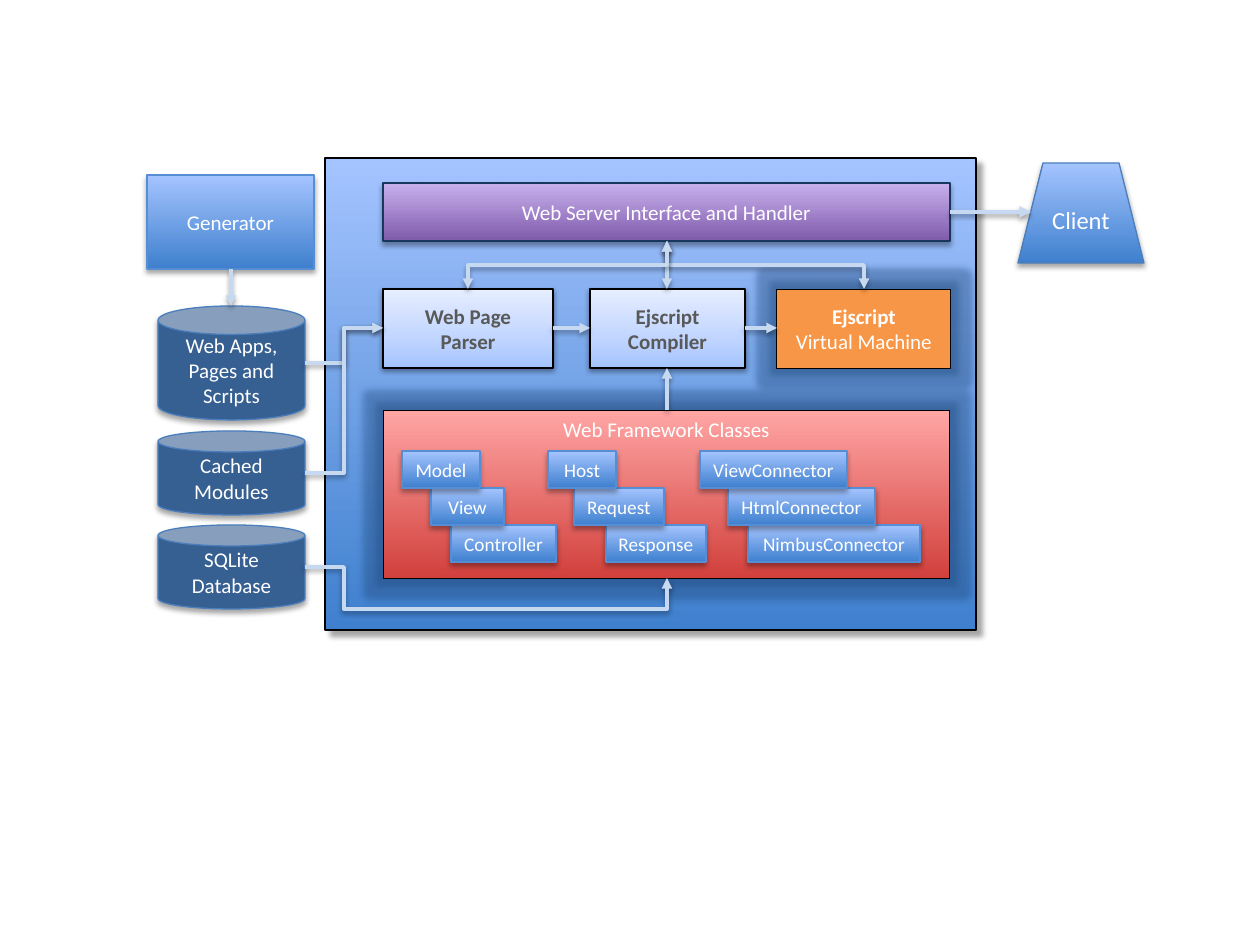
from copy import deepcopy
from dataclasses import dataclass
from typing import Optional

from lxml.etree import SubElement
from pptx import Presentation
from pptx.dml.color import RGBColor
from pptx.enum.shapes import MSO_CONNECTOR as Link, MSO_SHAPE as Geometry
from pptx.enum.text import MSO_ANCHOR as Anchor, PP_ALIGN as Align
from pptx.oxml.ns import qn
from pptx.util import Emu, Pt

PIXEL = 914400 / 126
FONT = "Calibri"
COLORS = {
    "white": "FFFFFF", "black": "000000", "gray": "595959", "navy": "17375E",
    "steel": "376092", "edge": "4B7EBC", "chip_edge": "558ED5",
    "arrow": "C6D9F1", "orange": "F79646", "glow": "1F497D",
    "blue": "3F80CE", "sky": "A4C4FF", "pale": "BFD4FF", "ice": "E6EEFF",
    "violet": "7F5BAB", "lilac": "C8B0ED", "red": "D1403C", "pink": "FFA6A5",
}


@dataclass(frozen=True)
class Shadow:
    opacity: int
    distance: float
    angle: int = 90
    blur: float = 3.1


SOFT = Shadow(35, 1.8)
LIGHT = Shadow(38, 1.6)
DIAGONAL = Shadow(35, 4.8, 45)


@dataclass(frozen=True)
class Style:
    fill: tuple[tuple[int, str], ...]
    edge: str
    edge_width: float = 0.75
    shadow: Optional[Shadow] = SOFT
    geometry: Geometry = Geometry.RECTANGLE
    ink: str = "white"
    size: int = 12
    side_margin: int = 12
    anchor: Anchor = Anchor.MIDDLE


BLUE = ((0, "blue"), (100, "sky"))
PANEL = Style(BLUE, "black", shadow=DIAGONAL)
SERVER = Style(((0, "violet"), (100, "lilac")), "navy")
STAGE = Style(((0, "sky"), (35, "pale"), (100, "ice")), "black", shadow=LIGHT, ink="gray")
MACHINE = Style(((0, "orange"),), "black", 0.5, None)
FRAMEWORK = Style(((0, "red"), (100, "pink")), "black", 0.5, None, anchor=Anchor.TOP)
STORE = Style(((0, "steel"),), "edge", geometry=Geometry.CAN)
GENERATOR = Style(BLUE, "chip_edge")
CLIENT = Style(BLUE, "edge", geometry=Geometry.TRAPEZOID, size=14)
CHIP = Style(BLUE, "chip_edge", size=11, side_margin=0)


@dataclass(frozen=True)
class Box:
    left: int
    top: int
    width: int
    height: int
    style: Style
    text: str = ""
    bold_lines: int = 0


@dataclass(frozen=True)
class Arrow:
    start: tuple[int, int]
    end: tuple[int, int]
    vertical: bool = False
    double: bool = False
    width: float = 2
    detour: Optional[tuple[int, int]] = None


BOXES = [
    Box(325, 158, 651, 472, PANEL),
    Box(777, 289, 174, 79, MACHINE, "Ejscript\nVirtual Machine", 1),
    Box(158, 431, 147, 84, STORE, "Cached\nModules"),
    Box(383, 183, 567, 58, SERVER, "Web Server Interface and Handler"),
    Box(158, 306, 147, 114, STORE, "Web Apps, Pages and\vScripts"),
    Box(590, 289, 155, 79, STAGE, "Ejscript\nCompiler", 2),
    Box(1018, 163, 126, 100, CLIENT, "Client"),
    Box(383, 410, 567, 168, FRAMEWORK, "Web Framework Classes"),
    Box(147, 175, 167, 94, GENERATOR, "Generator"),
    Box(383, 289, 170, 79, STAGE, "Web Page\vParser", 1),
    Box(158, 525, 147, 84, STORE, "SQLite\vDatabase"),
]
CHIP_TOP, CHIP_HEIGHT = 451, 37
CLASS_GROUPS = [
    [("Model", 402, 78), ("View", 431, 73), ("Controller", 451, 105)],
    [("Host", 548, 68), ("Request", 574, 90), ("Response", 606, 100)],
    [("ViewConnector", 700, 147), ("HtmlConnector", 728, 147), ("NimbusConnector", 748, 172)],
]
ARROWS = [
    Arrow((950, 212), (1031, 212), width=2.25),
    Arrow((231, 269), (231, 306), vertical=True),
    Arrow((667, 410), (667, 368), vertical=True),
    Arrow((305, 363), (383, 328)),
    Arrow((305, 473), (383, 328)),
    Arrow((553, 328), (590, 328)),
    Arrow((745, 328), (777, 328)),
    *(Arrow((667, 241), (stage, 289), vertical=True, double=True) for stage in (864, 667, 468)),
    Arrow((305, 567), (667, 578), detour=(344, 609)),
]


def px(pixels: float) -> Emu:
    return Emu(round(pixels * PIXEL))


def rgb(name: str) -> RGBColor:
    return RGBColor.from_string(COLORS[name])


def add_effect(effects, tag: str, color: str, opacity: int, **attributes) -> None:
    effect = SubElement(effects, qn(tag), {key: str(value) for key, value in attributes.items()})
    tint = SubElement(effect, qn("a:srgbClr"), val=COLORS[color])
    SubElement(tint, qn("a:alpha"), val=str(opacity * 1000))


def cast_shadow(effects, shadow: Shadow) -> None:
    add_effect(effects, "a:outerShdw", "black", shadow.opacity, blurRad=Pt(shadow.blur),
               dist=Pt(shadow.distance), dir=shadow.angle * 60000, rotWithShape=0)


def write_text(frame, text: str, *, size: int, ink: str, bold_lines: int,
               side_margin: int, anchor: Anchor) -> None:
    frame.word_wrap = True
    frame.vertical_anchor = anchor
    frame.margin_left = frame.margin_right = px(side_margin)
    frame.text = text
    for index, paragraph in enumerate(frame.paragraphs):
        paragraph.alignment = Align.CENTER
        for run in paragraph.runs:
            run.font.name = FONT
            run.font.size = Pt(size)
            run.font.bold = index < bold_lines
            run.font.color.rgb = rgb(ink)


def paint(shape, stops: tuple[tuple[int, str], ...]) -> None:
    if len(stops) == 1:
        shape.fill.solid()
        shape.fill.fore_color.rgb = rgb(stops[0][1])
        return
    shape.fill.gradient()
    shape.fill.gradient_angle = 90
    stop_list = shape.element.spPr.find(".//" + qn("a:gsLst"))
    while len(stop_list) < len(stops):
        stop_list.append(deepcopy(stop_list[0]))
    for stop, (position, color) in zip(shape.fill.gradient_stops, stops):
        stop.position = position / 100
        stop.color.rgb = rgb(color)


def draw_box(shapes, box: Box) -> None:
    style = box.style
    shape = shapes.add_shape(style.geometry, px(box.left), px(box.top), px(box.width), px(box.height))
    paint(shape, style.fill)
    shape.line.color.rgb = rgb(style.edge)
    shape.line.width = Pt(style.edge_width)
    shape.shadow.inherit = False
    effects = shape.element.spPr.find(qn("a:effectLst"))
    if style.shadow:
        cast_shadow(effects, style.shadow)
    else:
        add_effect(effects, "a:glow", "glow", 40, rad=Pt(8))
    if box.text:
        write_text(shape.text_frame, box.text, size=style.size, ink=style.ink,
                   bold_lines=box.bold_lines, side_margin=style.side_margin, anchor=style.anchor)


def draw_arrow(shapes, arrow: Arrow) -> None:
    (x1, y1), (x2, y2) = arrow.start, arrow.end
    dx, dy = x2 - x1, y2 - y1
    ends = (x1, y1, x2, y2)
    if arrow.vertical:
        cx, cy = (x1 + x2) / 2, (y1 + y2) / 2
        ends = (cx + dy / 2, cy - dx / 2, cx - dy / 2, cy + dx / 2)
    connector = shapes.add_connector(Link.ELBOW, *map(px, ends))
    connector.line.color.rgb = rgb("arrow")
    connector.line.width = Pt(arrow.width)
    properties = connector.element.spPr
    if arrow.vertical:
        properties.find(qn("a:xfrm")).set("rot", str(270 * 60000))
    if arrow.detour:
        geometry = properties.find(qn("a:prstGeom"))
        geometry.set("prst", "bentConnector4")
        guides = geometry.find(qn("a:avLst"))
        ratios = ((arrow.detour[0] - x1) / dx, (arrow.detour[1] - y1) / dy)
        for number, ratio in enumerate(ratios, 1):
            SubElement(guides, qn("a:gd"), name=f"adj{number}", fmla=f"val {round(ratio * 100000)}")
    outline = properties.find(qn("a:ln"))
    for tag in ("a:headEnd", "a:tailEnd") if arrow.double else ("a:tailEnd",):
        SubElement(outline, qn(tag), type="triangle")
    cast_shadow(SubElement(properties, qn("a:effectLst")), LIGHT)


def main() -> None:
    deck = Presentation()
    deck.slide_width, deck.slide_height = px(1260), px(945)
    shapes = deck.slides.add_slide(deck.slide_layouts[6]).shapes
    for box in BOXES:
        draw_box(shapes, box)
    for group in CLASS_GROUPS:
        for row, (name, left, width) in reversed(list(enumerate(group))):
            draw_box(shapes, Box(left, CHIP_TOP + row * CHIP_HEIGHT, width, CHIP_HEIGHT, CHIP, name))
    for arrow in ARROWS:
        draw_arrow(shapes, arrow)
    deck.save("out.pptx")


main()
